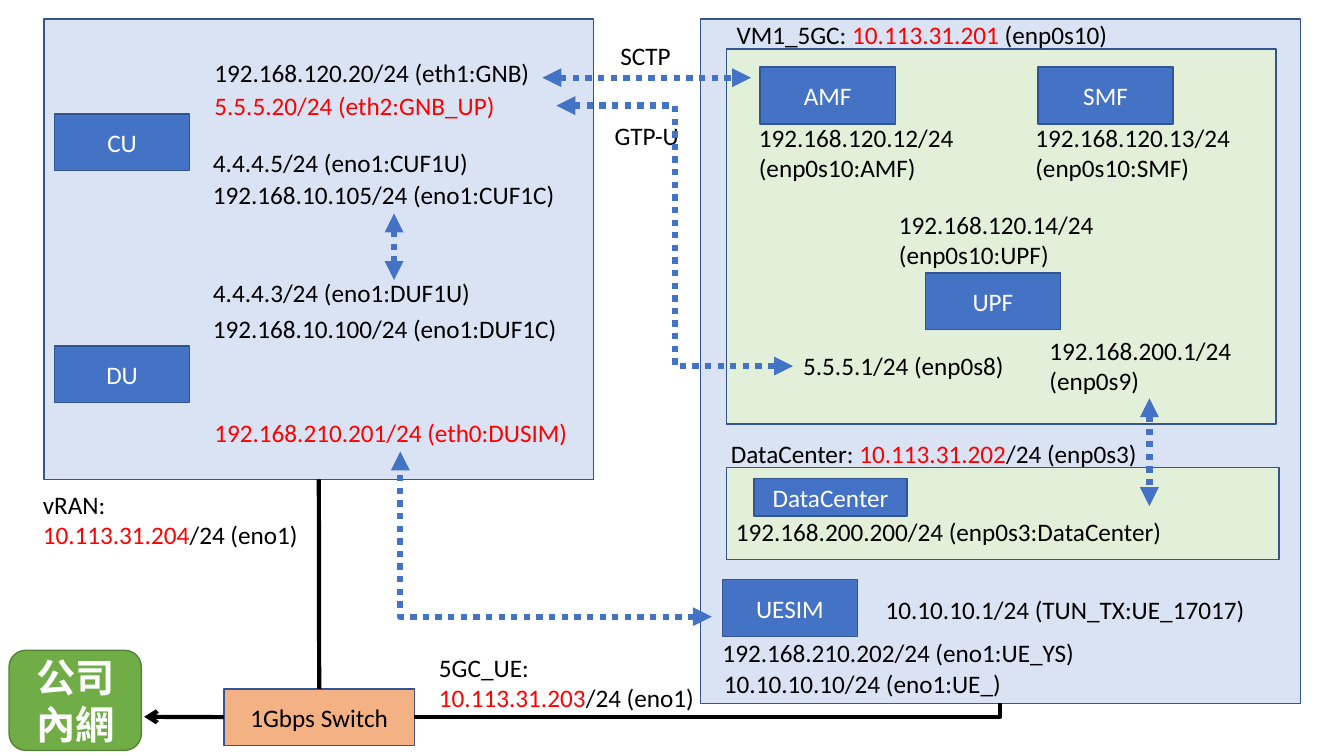
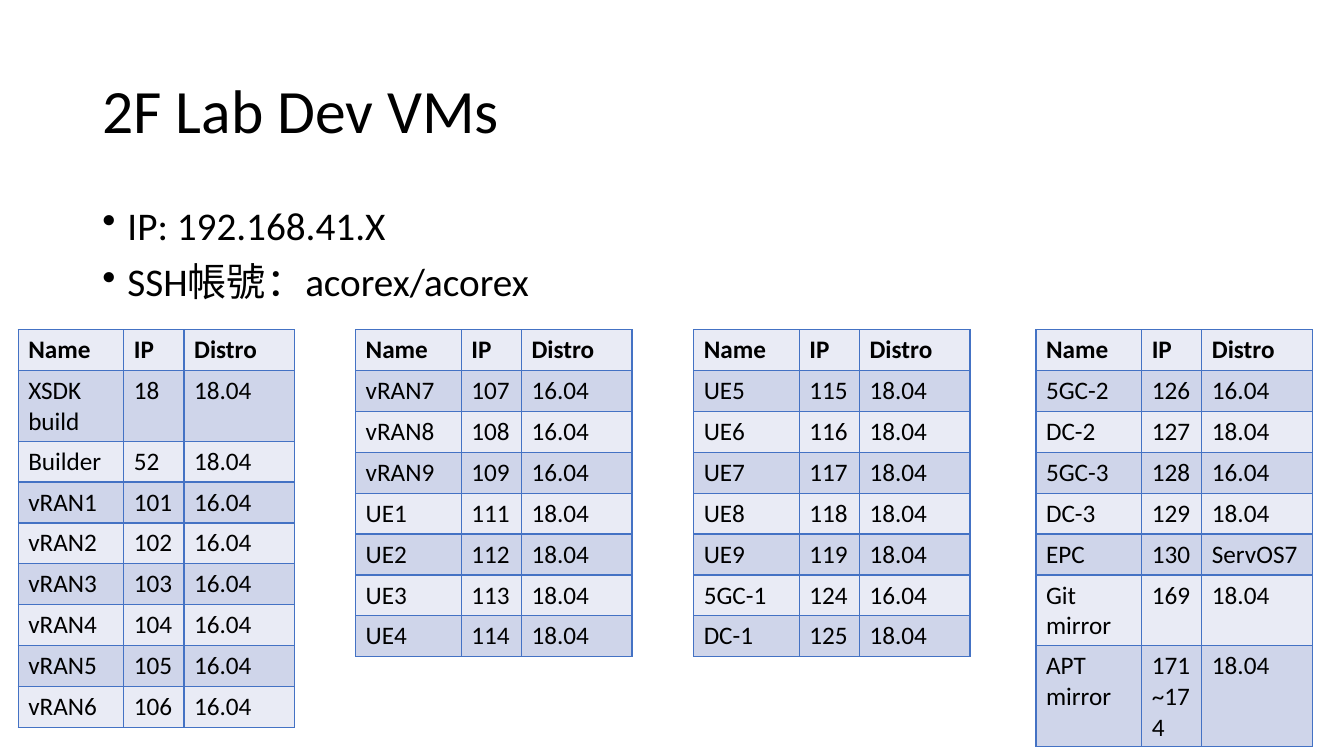
import pptx
import pptx.dml.color
import pptx.enum.dml
import pptx.enum.shapes
import pptx.enum.text
import pptx.oxml
import pptx.oxml.ns
import pptx.util
from lxml import etree

Pt = pptx.util.Pt
RGB = pptx.dml.color.RGBColor
SHAPE = pptx.enum.shapes.MSO_SHAPE
LINK = pptx.enum.shapes.MSO_CONNECTOR
ALIGN = pptx.enum.text.PP_ALIGN
ANCHOR = pptx.enum.text.MSO_ANCHOR
qn = pptx.oxml.ns.qn

BLACK = RGB(0x00, 0x00, 0x00)
WHITE = RGB(0xFF, 0xFF, 0xFF)
RED = RGB(0xFF, 0x00, 0x00)
BLUE = RGB(0x44, 0x72, 0xC4)
NAVY = RGB(0x32, 0x54, 0x91)
PALE = RGB(0xDA, 0xE3, 0xF3)
MINT = RGB(0xE2, 0xF0, 0xD9)
PEACH = RGB(0xF4, 0xB1, 0x83)
GREEN = RGB(0x70, 0xAD, 0x47)
MOSS = RGB(0x53, 0x81, 0x35)
LIGHT = RGB(0xE9, 0xEB, 0xF5)
BAND = RGB(0xCF, 0xD5, 0xEA)

LATIN = "Calibri"
HAN = "Noto Sans CJK SC"
NODE = (96.5, 40.5)

NODES = [
    ("CU", 39, 81.5, *NODE),
    ("DU", 39, 247, *NODE),
    ("UESIM", 516, 414, *NODE),
    ("AMF", 543, 48, *NODE),
    ("SMF", 741.5, 48, *NODE),
    ("UPF", 661, 195, *NODE),
    ("DataCenter", 538.5, 342, 109.5, 26.5),
]

# Text between bars is red; each further string is a new paragraph.
LABELS = [
    ((146, 36.5, 240, 30), "192.168.120.20/24 (eth1:GNB)"),
    ((146, 62.5, 251, 26), "|5.5.5.20/24 (eth2:GNB_UP)|"),
    ((145, 101, 206, 30), "4.4.4.5/24 (eno1:CUF1U)"),
    ((145, 124, 266, 30), "192.168.10.105/24 (eno1:CUF1C)"),
    ((145, 194, 206, 30), "4.4.4.3/24 (eno1:DUF1U)"),
    ((145, 217, 272, 34.5), "192.168.10.100/24 (eno1:DUF1C)"),
    ((146, 295, 279, 27.5), "|192.168.210.201/24 (eth0:DUSIM)|"),
    ((509, 452, 287, 28), "192.168.210.202/24 (eno1:UE_YS)"),
    ((510, 473, 231, 30), "10.10.10.10/24 (eno1:UE_)"),
    ((535, 91.5, 164, 35), "192.168.120.12/24", "(enp0s10:AMF)"),
    ((732.5, 95.5, 164, 27), "192.168.120.13/24", "(enp0s10:SMF)"),
    ((635, 145.5, 170, 51), "192.168.120.14/24 (enp0s10:UPF)"),
    ((742.5, 235.5, 170, 51), "192.168.200.1/24 (enp0s9)"),
    ((566.5, 235.5, 206, 51), "5.5.5.1/24 (enp0s8)"),
    ((518.5, 368.5, 352, 22), "192.168.200.200/24 (enp0s3:DataCenter)"),
    ((625.5, 419, 295, 32), "10.10.10.1/24 (TUN_TX:UE_17017)"),
    ((519, 8.5, 339, 32), "VM1_5GC: |10.113.31.201| (enp0s10)"),
    ((515, 310.5, 374, 26.5), "DataCenter: |10.113.31.202|/24 (enp0s3)"),
    ((23.5, 353, 271, 36), "vRAN:", "|10.113.31.204|/24 (eno1)"),
    ((306.5, 469.5, 271, 36), "5GC_UE:", "|10.113.31.203|/24 (eno1)"),
    ((436, 21.5, 60, 36), "SCTP"),
    ((432, 74, 70, 45), "GTP-U"),
]

HEAD = ("Name", "IP", "Distro")
COLS = (75.5, 43, 79)
TABLES = [
    (13, [("XSDK build", "18", "18.04"), ("Builder", "52", "18.04")]
        + [(f"vRAN{n}", f"{100 + n}", "16.04") for n in range(1, 7)]),
    (254, [(f"vRAN{n}", f"{100 + n}", "16.04") for n in range(7, 10)]
        + [(f"UE{n}", f"{110 + n}", "18.04") for n in range(1, 5)]),
    (495.5, [(f"UE{n}", f"{110 + n}", "18.04") for n in range(5, 10)]
        + [("5GC-1", "124", "16.04"), ("DC-1", "125", "18.04")]),
    (740, [("5GC-2", "126", "16.04"), ("DC-2", "127", "18.04"),
           ("5GC-3", "128", "16.04"), ("DC-3", "129", "18.04"),
           ("EPC", "130", "ServOS7"), ("Git mirror", "169", "18.04"),
           ("APT mirror", "171~174", "18.04")]),
]


def points(*nums):
    return [Pt(num) for num in nums]


def style(para, size=18, color=BLACK, bold=False, face=LATIN):
    font = para.font
    font.name, font.size, font.bold = face, Pt(size), bold
    font.color.rgb = color


def box(slide, area, fill, edge=NAVY, kind=SHAPE.RECTANGLE):
    shape = slide.shapes.add_shape(kind, *points(*area))
    shape.shadow.inherit = False
    shape.fill.solid()
    shape.fill.fore_color.rgb = fill
    shape.line.color.rgb = edge
    shape.line.width = Pt(1)
    return shape


def caption(shape, text, **look):
    """Write one centred paragraph into a shape."""
    frame = shape.text_frame
    frame.word_wrap = True
    frame.vertical_anchor = ANCHOR.MIDDLE
    para = frame.paragraphs[0]
    para.text = text
    para.alignment = ALIGN.CENTER
    style(para, **look)
    return para


def frame_at(slide, area, anchor):
    frame = slide.shapes.add_textbox(*points(*area)).text_frame
    frame.word_wrap = True
    frame.vertical_anchor = anchor
    return frame


def add_para(frame, index):
    return frame.add_paragraph() if index else frame.paragraphs[0]


def label(slide, area, *lines):
    """Add text whose parts between bars are red."""
    frame = frame_at(slide, area, ANCHOR.MIDDLE)
    for index, line in enumerate(lines):
        para = add_para(frame, index)
        style(para)
        for part, text in enumerate(line.split("|")):
            if text:
                run = para.add_run()
                run.text = text
                if part % 2:
                    run.font.color.rgb = RED


def link(slide, start, end, kind=LINK.STRAIGHT, color=BLACK, width=3):
    wire = slide.shapes.add_connector(kind, *points(*start, *end))
    wire.line.color.rgb = color
    wire.line.width = Pt(width)
    etree.SubElement(wire._element.spPr, qn("a:effectLst"))
    return wire


def tip(wire, *ends, kind="triangle"):
    """Put arrowheads on the named ends, headEnd before tailEnd."""
    for end in ends:
        etree.SubElement(wire.line._get_or_add_ln(), qn(f"a:{end}"), type=kind)


def flow(slide, start, end, kind=LINK.STRAIGHT):
    """Add a dotted arrow with two heads."""
    wire = link(slide, start, end, kind, BLUE, 4.5)
    wire.line.dash_style = pptx.enum.dml.MSO_LINE.ROUND_DOT
    tip(wire, "headEnd", "tailEnd")
    return wire


def one_bend(wire):
    """Turn an elbow into one corner: across first, then up or down."""
    wire._element.spPr.find(qn("a:prstGeom")).set("prst", "bentConnector2")


def border(cell):
    props = cell._tc.get_or_add_tcPr()
    for side in ("lnL", "lnR", "lnT", "lnB"):
        line = etree.SubElement(props, qn(f"a:{side}"), w=str(Pt(1)))
        fill = etree.SubElement(line, qn("a:solidFill"))
        etree.SubElement(fill, qn("a:srgbClr"), val=str(BLUE))


def table(slide, left, rows):
    rows = [HEAD, *rows]
    high = 29.2
    area = points(left, 235.5, sum(COLS), high * len(rows))
    grid = slide.shapes.add_table(len(rows), len(COLS), *area).table
    grid.first_row = grid.horz_banding = False
    for col, width in zip(grid.columns, COLS):
        col.width = Pt(width)
    for r, row in enumerate(rows):
        grid.rows[r].height = Pt(high)
        for c, text in enumerate(row):
            cell = grid.cell(r, c)
            border(cell)
            cell.fill.solid()
            cell.fill.fore_color.rgb = BAND if r % 2 else LIGHT
            para = cell.text_frame.paragraphs[0]
            para.text = text
            style(para, bold=r == 0)


def title(slide, text):
    shape = slide.shapes.title
    shape.left, shape.top, shape.width, shape.height = points(66, 29, 828, 104)
    shape.text_frame.vertical_anchor = ANCHOR.MIDDLE
    para = shape.text_frame.paragraphs[0]
    para.text = text
    para.alignment = ALIGN.LEFT
    para.line_spacing = 0.9
    style(para, 44)


def bullets(slide, area, *lines):
    frame = frame_at(slide, area, ANCHOR.TOP)
    for index, line in enumerate(lines):
        para = add_para(frame, index)
        para.text = line
        para.line_spacing = 0.9
        para.space_before = Pt(10)
        style(para, 28)
        props = para._p.get_or_add_pPr()
        props.set("marL", str(Pt(18)))
        props.set("indent", str(Pt(-18)))
        mark = pptx.oxml.parse_xml(
            f'<a:buChar {pptx.oxml.ns.nsdecls("a")} char="•"/>')
        props.find(qn("a:defRPr")).addprevious(mark)


def network(slide):
    box(slide, (500.5, 13.5, 428.5, 489), PALE)
    box(slide, (519, 334, 394.5, 65.5), MINT)
    box(slide, (519, 35, 392.5, 268), MINT)
    vran = box(slide, (31.5, 13.5, 392.5, 329), PALE)
    for name, *area in NODES:
        caption(box(slide, area, BLUE), name, color=WHITE)
    for area, *lines in LABELS:
        label(slide, area, *lines)

    flow(slide, (281.5, 152.5), (281.5, 200))
    flow(slide, (821, 284.5), (821, 361.5))
    flow(slide, (387.5, 55.5), (536.5, 55.5))
    flow(slide, (397.5, 75.5), (566.5, 261.5), LINK.ELBOW)
    one_bend(flow(slide, (508.5, 440.5), (286, 322.5), LINK.ELBOW))

    switch = box(slide, (160, 492, 136, 40.5), PEACH)
    caption(switch, "1Gbps Switch")
    one_bend(link(slide, (296, 512), (714.5, 502.5), LINK.ELBOW))
    trunk = link(slide, (228, 342.5), (228, 492))
    trunk.begin_connect(vran, 2)
    trunk.end_connect(switch, 0)

    office = box(slide, (6.5, 464.5, 94.5, 71.5), GREEN, MOSS,
                 SHAPE.ROUNDED_RECTANGLE)
    para = caption(office, "公司內網", size=28, color=WHITE, bold=True, face=HAN)
    etree.SubElement(para.font._element, qn("a:ea"), typeface=HAN)
    uplink = link(slide, (160, 512), (103, 512))
    uplink.begin_connect(switch, 1)
    tip(uplink, "tailEnd", kind="arrow")


def machines(slide):
    title(slide, "2F Lab Dev VMs")
    bullets(slide, (66, 144, 828, 90),
            "IP: 192.168.41.X", "SSH帳號：acorex/acorex")
    for left, rows in TABLES:
        table(slide, left, rows)


def main():
    deck = pptx.Presentation()
    deck.slide_width, deck.slide_height = points(960, 540)
    bare, titled = deck.slide_layouts[6], deck.slide_layouts[5]
    network(deck.slides.add_slide(bare))
    machines(deck.slides.add_slide(titled))
    deck.save("out.pptx")


if __name__ == "__main__":
    main()
